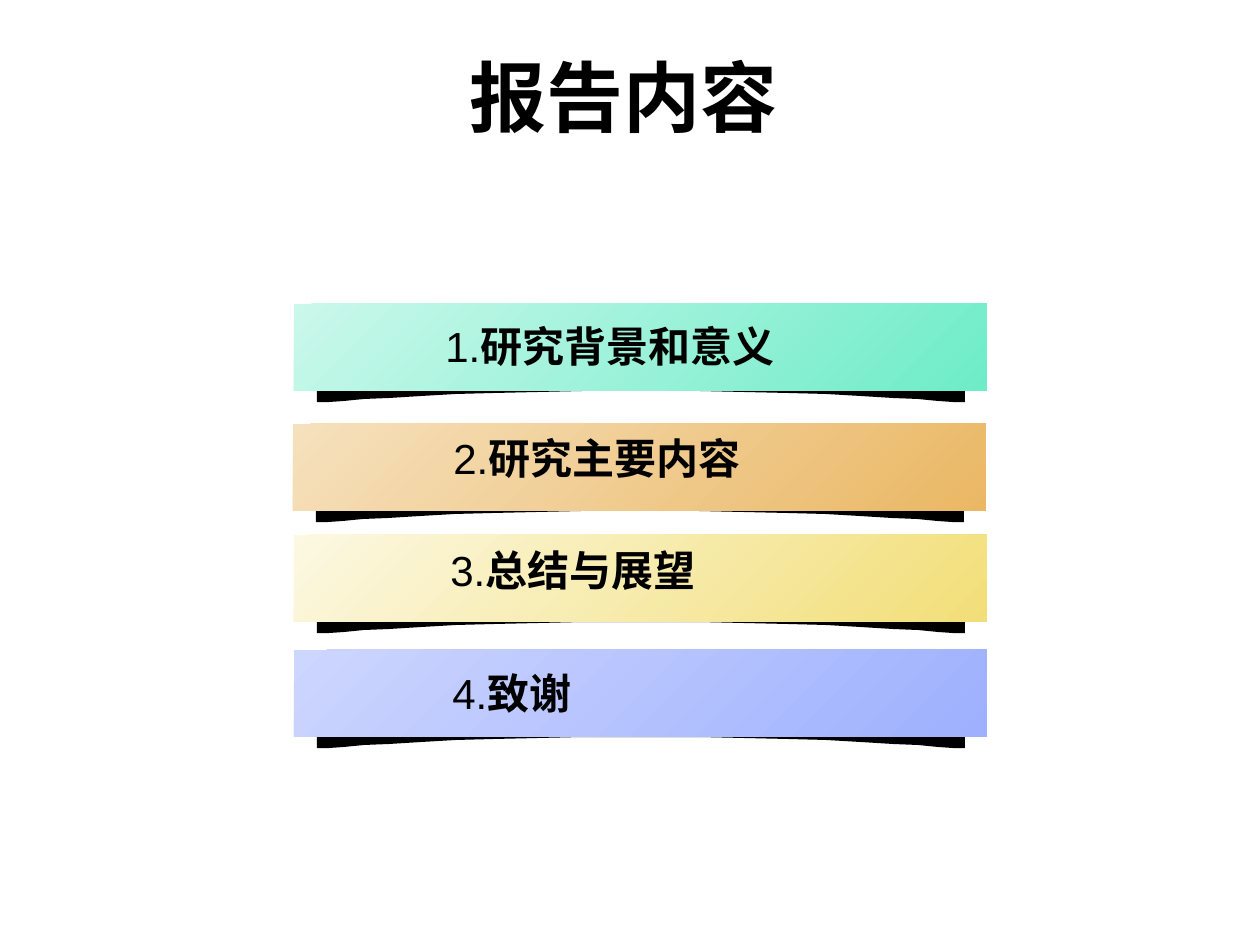
"""Build the report contents slide with four gradient banners."""
from dataclasses import dataclass

from lxml.etree import SubElement
from pptx import Presentation
from pptx.dml.color import RGBColor
from pptx.enum.shapes import MSO_SHAPE
from pptx.enum.text import MSO_ANCHOR, MSO_AUTO_SIZE, PP_ALIGN
from pptx.oxml.ns import qn
from pptx.util import Pt

PX = 914400 // 126
BLACK = RGBColor(0x00, 0x00, 0x00)
LATIN, CJK = "Arial", "Noto Sans CJK SC"
BANNER_W, BANNER_H = 693, 87
SHADOW_W, SHADOW_DX, SHADOW_DY = 648, 23, 56
SHADOW_SHOULDER = 11
SHADOW_CURVE = [(0, 42), (4, 42), (12, 42), (27, 41), (47, 39), (72, 38), (104, 36),
                (139, 34), (177, 33), (221, 32), (265, 31), (324, 31)]


@dataclass(frozen=True)
class Banner:
    label: str
    left: int
    top: int
    text_left: int
    text_top: int
    text_width: int
    light: RGBColor
    dark: RGBColor


BANNERS = [
    Banner("研究背景和意义", 294, 304, 433, 314, 364,
           RGBColor(0xCA, 0xF8, 0xEB), RGBColor(0x6E, 0xEC, 0xC8)),
    Banner("研究主要内容", 293, 424, 441, 426, 322,
           RGBColor(0xF6, 0xE1, 0xBD), RGBColor(0xEA, 0xB7, 0x64)),
    Banner("总结与展望", 294, 535, 438, 538, 280,
           RGBColor(0xFC, 0xF8, 0xE2), RGBColor(0xF2, 0xDE, 0x78)),
    Banner("致谢", 294, 650, 440, 661, 154,
           RGBColor(0xCD, 0xD6, 0xFE), RGBColor(0x9E, 0xB0, 0xFE)),
]


def add_run(p, text: str, size: int, font: str, bold: bool) -> None:
    """Append a black run in one font for Latin and East Asian text."""
    r = p.add_run()
    r.text = text
    r.font.size, r.font.bold, r.font.name = Pt(size), bold, font
    r.font.color.rgb = BLACK
    SubElement(r.font._element, qn("a:ea"), typeface=font)


def add_box(shapes, left: int, top: int, width: int, height: int):
    """Add a text box and return its text frame."""
    box = shapes.add_textbox(left * PX, top * PX, width * PX, height * PX)
    return box.text_frame


def add_title(shapes, text: str) -> None:
    """Add the centred slide title."""
    tf = add_box(shapes, 136, 62, 976, 67)
    tf.word_wrap = True
    tf.vertical_anchor = MSO_ANCHOR.MIDDLE
    p = tf.paragraphs[0]
    p.alignment = PP_ALIGN.CENTER
    add_run(p, text, 44, CJK, True)


def add_shadow(shapes, left: int, top: int) -> None:
    """Add the curved black shadow, mirrored about its centre."""
    mirrored = [(SHADOW_W - x, y) for x, y in SHADOW_CURVE]
    outline = [(SHADOW_W // 2, 0), (SHADOW_W, SHADOW_SHOULDER),
               *mirrored, *reversed(SHADOW_CURVE[:-1])]
    fb = shapes.build_freeform(0, SHADOW_SHOULDER, scale=PX)
    fb.add_line_segments(outline, close=True)
    sp = fb.convert_to_shape(left * PX, top * PX)
    sp.shadow.inherit = False
    sp.fill.solid()
    sp.fill.fore_color.rgb = BLACK
    sp.line.fill.background()


def add_banner(shapes, number: int, b: Banner) -> None:
    """Add one banner with its shadow and numbered label."""
    group = shapes.add_group_shape().shapes
    add_shadow(group, b.left + SHADOW_DX, b.top + SHADOW_DY)
    sp = group.add_shape(MSO_SHAPE.RECTANGLE, b.left * PX, b.top * PX,
                         BANNER_W * PX, BANNER_H * PX)
    sp.shadow.inherit = False
    sp.line.fill.background()
    sp.fill.gradient()
    sp.fill.gradient_angle = 315
    for stop, color in zip(sp.fill.gradient_stops, (b.light, b.dark)):
        stop.color.rgb = color

    tf = add_box(shapes, b.text_left, b.text_top, b.text_width, 63)
    tf.word_wrap = False
    tf.auto_size = MSO_AUTO_SIZE.SHAPE_TO_FIT_TEXT
    p = tf.paragraphs[0]
    add_run(p, f"{number}.", 24, LATIN, False)
    add_run(p, b.label, 24, CJK, True)


def main() -> None:
    """Build and save the slide."""
    prs = Presentation()
    prs.slide_width, prs.slide_height = 1260 * PX, 945 * PX
    s = prs.slides.add_slide(prs.slide_layouts[6])
    add_title(s.shapes, "报告内容")
    for number, banner in enumerate(BANNERS, start=1):
        add_banner(s.shapes, number, banner)
    prs.save("out.pptx")


if __name__ == "__main__":
    main()
